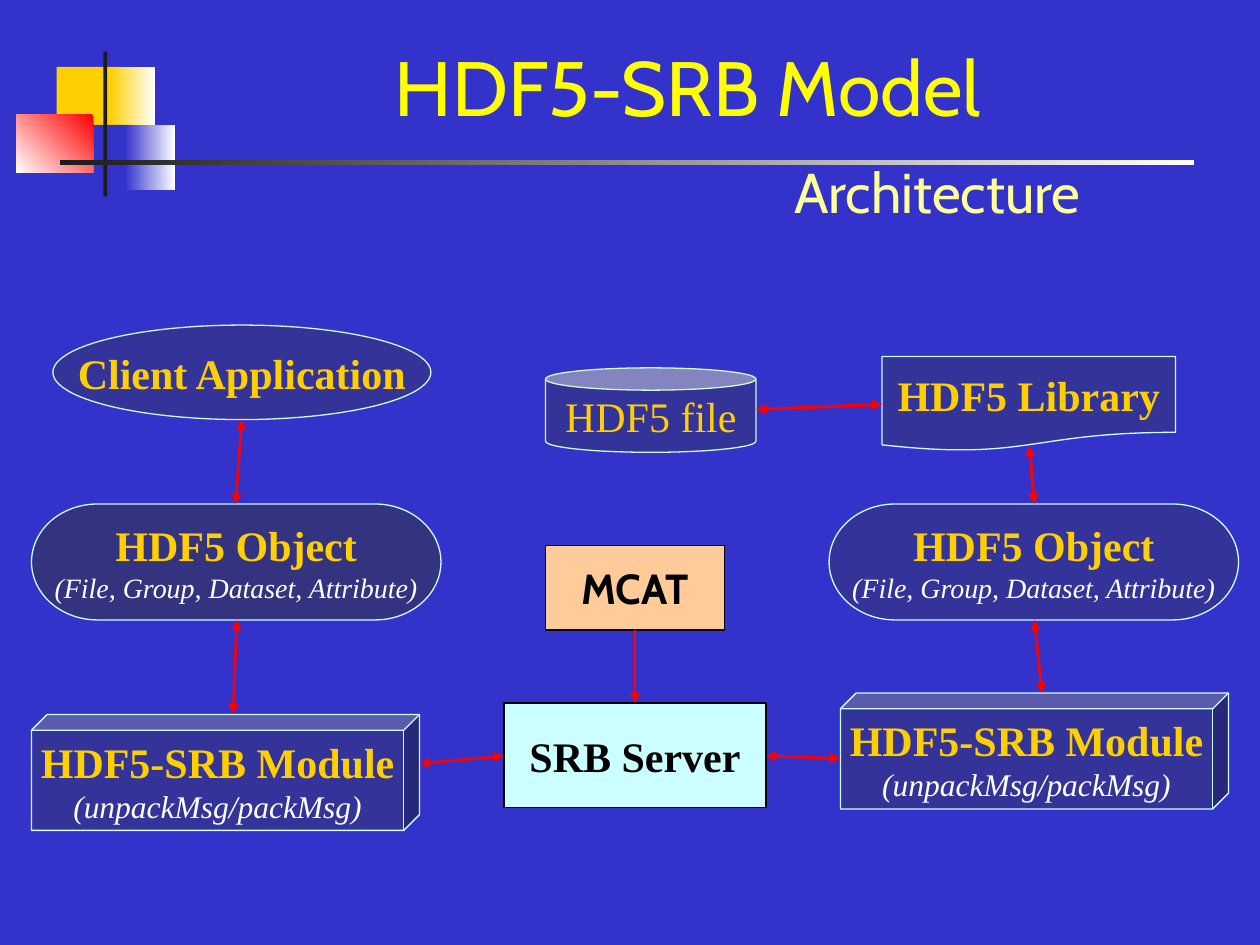
from lxml import etree
from pptx import Presentation
from pptx.dml.color import RGBColor
from pptx.enum.shapes import MSO_CONNECTOR, MSO_SHAPE
from pptx.enum.text import MSO_ANCHOR, MSO_AUTO_SIZE, PP_ALIGN
from pptx.oxml.ns import qn
from pptx.util import Inches, Pt

RECT, OVAL, CAN, CUBE = MSO_SHAPE.RECTANGLE, MSO_SHAPE.OVAL, MSO_SHAPE.CAN, MSO_SHAPE.CUBE
TERMINATOR = MSO_SHAPE.FLOWCHART_TERMINATOR
DOCUMENT = MSO_SHAPE.FLOWCHART_DOCUMENT
STRAIGHT = MSO_CONNECTOR.STRAIGHT
CENTER = PP_ALIGN.CENTER
MIDDLE, BOTTOM = MSO_ANCHOR.MIDDLE, MSO_ANCHOR.BOTTOM
NO_FIT = MSO_AUTO_SIZE.NONE
SERIF, SANS = "Times New Roman", "Cabin"

COLORS = {
    "blue": "3333CC", "navy": "333399", "gray": "333333", "ink": "1C1C1C",
    "gold": "FFCF01", "red": "FF0000", "white": "FFFFFF", "black": "000000",
    "yellow": "FFFF00", "cream": "FFFF99", "cyan": "CCFFFF", "mint": "CCFFCC",
    "peach": "FFCC99",
}
RGB = {name: RGBColor.from_string(value) for name, value in COLORS.items()}


def add_box(shape_type, box, fill):
    sp = s.shapes.add_shape(shape_type, *[Inches(v) for v in box])
    sp.shadow.inherit = False
    sp.fill.solid()
    sp.fill.fore_color.rgb = RGB[fill]
    sp.line.fill.background()
    return sp


def format_text(p, font, size, color, bold=False, italic=False):
    p.alignment = CENTER
    for r in p.runs:
        r.font.name = font
        r.font.size = Pt(size)
        r.font.bold = bold
        r.font.italic = italic
        r.font.color.rgb = RGB[color]


prs = Presentation()
prs.slide_width, prs.slide_height = Inches(10), Inches(7.5)
s = prs.slides.add_slide(prs.slide_layouts[5])
s.background.fill.solid()
s.background.fill.fore_color.rgb = RGB["blue"]

decorations = [
    ((0.45, 0.53, 0.48, 0.52), "gold", None, 0),
    ((0.87, 0.53, 0.36, 0.52), "white", "gold", 180),
    ((0.58, 0.99, 0.46, 0.52), "blue", None, 0),
    ((0.99, 0.99, 0.4, 0.52), "white", "blue", 180),
    ((0.13, 0.91, 0.61, 0.46), "red", "white", 225),
    ((0.82, 0.41, 0.03, 1.15), "ink", None, 0),
    ((0.48, 1.27, 9, 0.04), "white", "ink", 180),
]
for box, start, end, angle in decorations:
    sp = add_box(RECT, box, start)
    if end:
        sp.fill.gradient()
        sp.fill.gradient_angle = angle
        for stop, color in zip(sp.fill.gradient_stops, (start, end)):
            stop.color.rgb = RGB[color]

title = s.shapes.title
title.left, title.top = Inches(1.17), Inches(0.75)
title.width, title.height = Inches(8.58), Inches(1.08)
tf = title.text_frame
tf.text = "HDF5-SRB Model\nArchitecture"
tf.vertical_anchor = BOTTOM
tf.word_wrap = True
tf.auto_size = NO_FIT
heading, subheading = tf.paragraphs
format_text(heading, SANS, 44, "yellow")
format_text(subheading, SANS, 32, "cream")
for p in tf.paragraphs:
    p.space_before = Pt(0)
subheading.line_spacing = Pt(53)
subheading._p.get_or_add_pPr().set("marL", str(Inches(3.96)))

module = [("HDF5-SRB Module", SERIF, 24, "gold", True),
          ("(unpackMsg/packMsg)", SERIF, 18, "white", False, True)]
hdf_object = [("HDF5 Object", SERIF, 24, "gold", True),
              ("(File, Group, Dataset, Attribute)", SERIF, 16, "white", False, True)]
nodes = [
    (RECT, (4, 5.58, 2.08, 0.83), "cyan", "black", None,
     [("SRB Server", SERIF, 24, "black", True)]),
    (OVAL, (0.42, 2.58, 3, 0.75), "navy", "mint", None,
     [("Client Application", SERIF, 24, "gold", True)]),
    (TERMINATOR, (0.25, 4, 3.25, 0.92), "gray", "cyan", None, hdf_object),
    (CAN, (4.33, 2.92, 1.67, 0.67), "navy", "mint", 0.264,
     [("HDF5 file", SERIF, 24, "gold")]),
    (CUBE, (0.25, 5.67, 3.08, 0.92), "navy", "cyan", 0.136, module),
    (RECT, (4.33, 4.33, 1.42, 0.67), "peach", "black", None,
     [("MCAT", SANS, 24, "black", True)]),
    (DOCUMENT, (7, 2.83, 2.33, 0.75), "navy", "cyan", None,
     [("HDF5 Library", SERIF, 24, "gold", True)]),
    (CUBE, (6.67, 5.5, 3.08, 0.92), "navy", "cyan", 0.136, module),
    (TERMINATOR, (6.58, 4, 3.25, 0.92), "navy", "cyan", None, hdf_object),
]
for shape_type, box, fill, line, adjustment, texts in nodes:
    sp = add_box(shape_type, box, fill)
    sp.line.color.rgb = RGB[line]
    sp.line.width = Pt(0.75)
    if adjustment:
        sp.adjustments[0] = adjustment
    if fill == "gray":
        color = sp._element.spPr.find(qn("a:solidFill"))[0]
        etree.SubElement(color, qn("a:alpha")).set("val", "50000")
    tf = sp.text_frame
    tf.text = "\n".join(text for text, *_ in texts)
    tf.word_wrap = False
    tf.vertical_anchor = MIDDLE
    for p, (_, *style) in zip(tf.paragraphs, texts):
        format_text(p, *style)

BOTH, END = ("headEnd", "tailEnd"), ("tailEnd",)
arrows = [
    (1.92, 3.33, 1.87, 4, 1.5, BOTH),
    (1.88, 4.92, 1.85, 5.67, 1.5, BOTH),
    (3.33, 6.06, 4, 6, 1.5, BOTH),
    (6.08, 6, 6.67, 6.02, 1.5, BOTH),
    (8.27, 5.5, 8.21, 4.92, 1.5, BOTH),
    (7, 3.21, 6, 3.25, 1.75, BOTH),
    (8.21, 4, 8.17, 3.54, 1.75, BOTH),
    (5.04, 5, 5.04, 5.58, 1.5, END),
]
for *points, width, ends in arrows:
    arrow = s.shapes.add_connector(STRAIGHT, *[Inches(v) for v in points])
    arrow.line.color.rgb = RGB["red"]
    arrow.line.width = Pt(width)
    ln = arrow.line._get_or_add_ln()
    for end in ends:
        etree.SubElement(ln, qn(f"a:{end}")).set("type", "triangle")
    etree.SubElement(arrow._element.spPr, qn("a:effectLst"))

prs.save("out.pptx")
